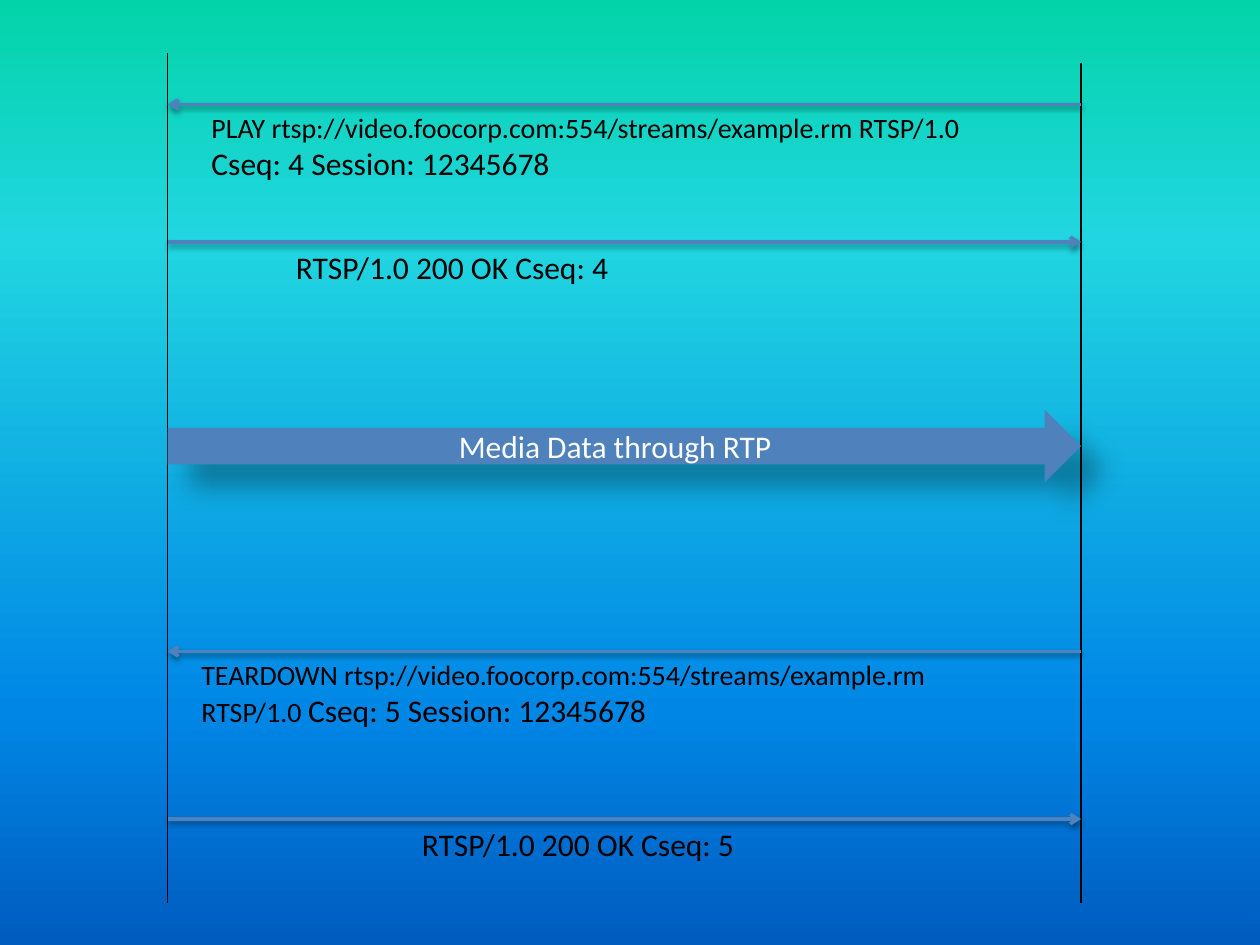
from lxml import etree
from pptx import Presentation, util as u
from pptx.dml.color import RGBColor
from pptx.enum import shapes, text
from pptx.oxml import ns

BLACK = RGBColor(0x00, 0x00, 0x00)
WHITE = RGBColor(0xFF, 0xFF, 0xFF)
BLUE = RGBColor(0x4F, 0x81, 0xBD)
GRADIENT = [
    (0, RGBColor(0x03, 0xD4, 0xA8)),
    (25, RGBColor(0x21, 0xD6, 0xE0)),
    (75, RGBColor(0x00, 0x87, 0xE6)),
    (100, RGBColor(0x00, 0x5C, 0xBF)),
]
LEFT, RIGHT, BOTTOM = 1.33, 8.58, 7.17


def add_line(x1, y1, x2, y2, color, width):
    line = slide.shapes.add_connector(
        shapes.MSO_CONNECTOR.STRAIGHT, u.Inches(x1), u.Inches(y1), u.Inches(x2), u.Inches(y2))
    line.line.color.rgb = color
    line.line.width = u.Pt(width)
    etree.SubElement(line.element.spPr, ns.qn("a:effectLst"))
    return line


def add_shadow(shape, alpha, blur, distance, angle):
    effects = shape.element.spPr.find(ns.qn("a:effectLst"))
    shadow = etree.SubElement(
        effects, ns.qn("a:outerShdw"), blurRad=str(u.Pt(blur)), dist=str(u.Pt(distance)),
        dir=str(angle * 60000), algn="ctr", rotWithShape="0")
    color = etree.SubElement(shadow, ns.qn("a:srgbClr"), val=str(BLACK))
    etree.SubElement(color, ns.qn("a:alpha"), val=str(alpha * 1000))


presentation = Presentation()
presentation.slide_width = u.Inches(10)
presentation.slide_height = u.Inches(7.5)
slide = presentation.slides.add_slide(presentation.slide_layouts[6])

background = slide.background.fill
background.gradient()
background.gradient_angle = 270
stops = next(slide.element.iter(ns.qn("a:gsLst")))
for stop in list(stops):
    stops.remove(stop)
for position, color in GRADIENT:
    stop = etree.SubElement(stops, ns.qn("a:gs"), pos=str(position * 1000))
    etree.SubElement(stop, ns.qn("a:srgbClr"), val=str(color))

for x, top in [(LEFT, 0.42), (RIGHT, 0.5)]:
    add_line(x, top, x, BOTTOM, BLACK, 0.75)

messages = [
    (0.83, RIGHT, LEFT, 1.58, 6.75, 0.67, [
        [("PLAY rtsp://video.foocorp.com:554/streams/example.rm RTSP/1.0", 16)],
        [("Cseq: 4 Session: 12345678", 18)]]),
    (1.92, LEFT, RIGHT, 2.25, 4.92, 0.4, [[("RTSP/1.0 200 OK Cseq: 4", 18)]]),
    (5.17, RIGHT, LEFT, 1.5, 6.58, 0.67, [
        [("TEARDOWN rtsp://video.foocorp.com:554/streams/example.rm RTSP/1.0 ", 16),
         ("Cseq: 5 Session: 12345678", 18)]]),
    (6.5, LEFT, RIGHT, 3.25, 3.17, 0.42, [[("RTSP/1.0 200 OK Cseq: 5", 18)]]),
]
for y, start, end, left, width, height, paragraphs in messages:
    arrow = add_line(start, y, end, y, BLUE, 2)
    etree.SubElement(arrow.line._get_or_add_ln(), ns.qn("a:tailEnd"), type="arrow")
    add_shadow(arrow, 38, 3.1, 1.6, 90)

    label = slide.shapes.add_textbox(
        u.Inches(left), u.Inches(y), u.Inches(width), u.Inches(height))
    frame = label.text_frame
    frame.word_wrap = True
    frame.auto_size = text.MSO_AUTO_SIZE.SHAPE_TO_FIT_TEXT
    for index, runs in enumerate(paragraphs):
        paragraph = frame.add_paragraph() if index else frame.paragraphs[0]
        paragraph.font.name = "Calibri"
        paragraph.font.color.rgb = BLACK
        for words, size in runs:
            run = paragraph.add_run()
            run.text = words
            run.font.size = u.Pt(size)

media = slide.shapes.add_shape(
    shapes.MSO_SHAPE.RIGHT_ARROW,
    u.Inches(LEFT), u.Inches(3.25), u.Inches(RIGHT - LEFT), u.Inches(0.58))
media.fill.solid()
media.fill.fore_color.rgb = BLUE
media.line.fill.background()
media.shadow.inherit = False
add_shadow(media, 30, 15, 18, 45)
media.text_frame.vertical_anchor = text.MSO_ANCHOR.MIDDLE
paragraph = media.text_frame.paragraphs[0]
paragraph.text = "Media Data through RTP"
paragraph.alignment = text.PP_ALIGN.CENTER
paragraph.font.name = "Calibri"
paragraph.font.size = u.Pt(18)
paragraph.font.color.rgb = WHITE

presentation.save("out.pptx")
